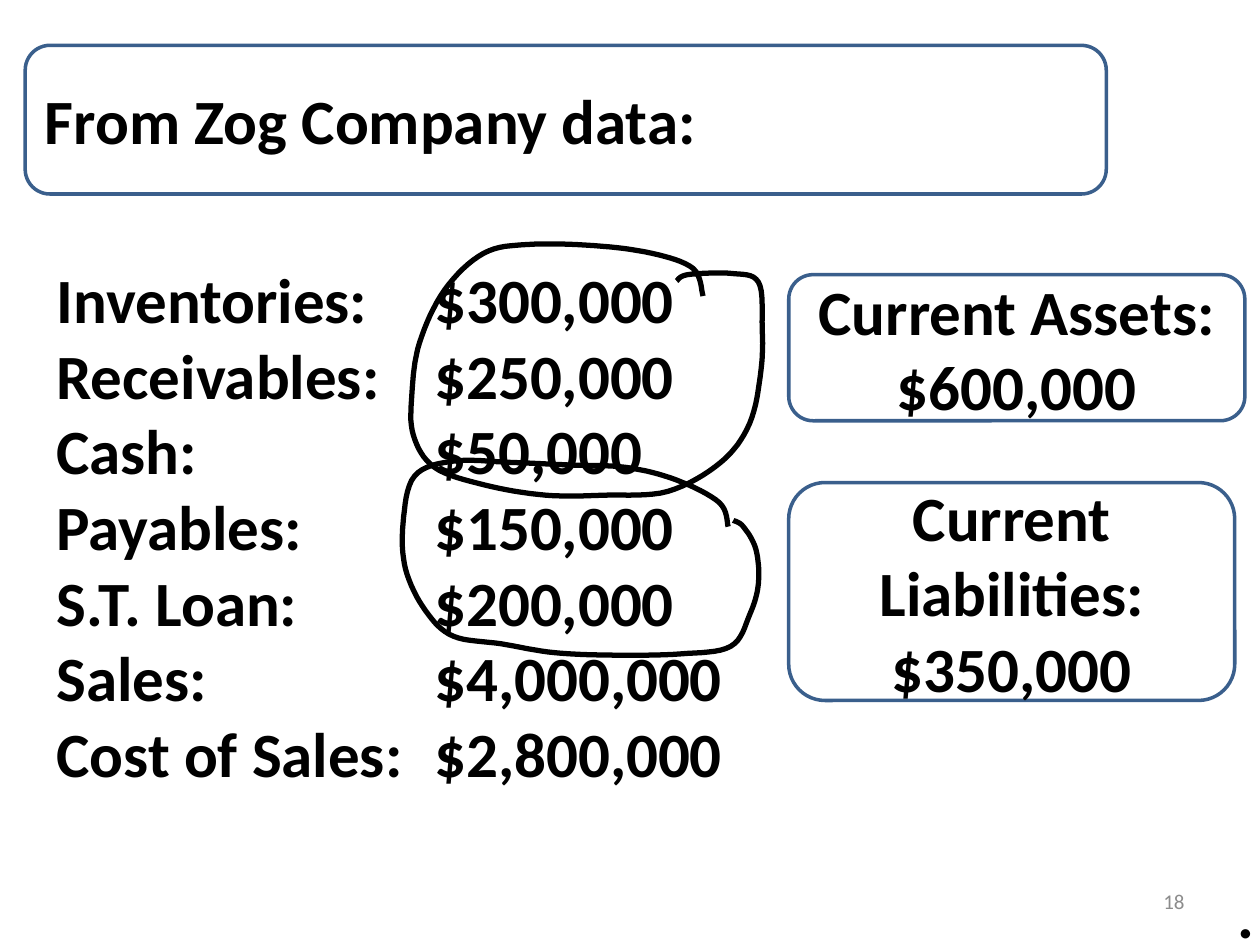
import pptx
import pptx.util
import pptx.dml.color
import pptx.enum.shapes
import pptx.enum.text
import pptx.oxml
import pptx.oxml.ns

Inches = pptx.util.Inches
ALIGN = pptx.enum.text.PP_ALIGN
ANCHOR = pptx.enum.text.MSO_ANCHOR

TITLE = ["From Zog Company data:"]
ACCOUNTS = [
    ("Inventories:", "$300,000"),
    ("Receivables:", "$250,000"),
    ("Cash:", "$50,000"),
    ("Payables:", "$150,000"),
    ("S.T. Loan:", "$200,000"),
    ("Sales:", "$4,000,000"),
    ("Cost of Sales:", "$2,800,000"),
]
ASSETS = ["Current Assets:", "$600,000"]
LIABILITIES = ["Current", "Liabilities:", "$350,000"]
PAGE_NUMBER = ["18"]

WIDTH, HEIGHT = 10, 7.5
PANEL_LEFT = 6.26
VALUE_TAB = 3
STEPS = 8
UNITS_PER_INCH = 1000
BLACK, BLUE, GREY = "000000", "3A5F8C", "8C8C8C"
BOLD = {"size": pptx.util.Pt(36), "bold": True, "name": "Calibri"}
SMALL = {"size": pptx.util.Pt(12), "bold": False, "name": "Calibri"}

ASSETS_KNOTS = [
    (5.58, 2.35), (5.5, 2.13), (5.17, 2.01), (4.72, 1.95), (4.2, 1.94), (3.84, 2.01),
    (3.53, 2.3), (3.33, 2.72), (3.27, 3.12), (3.28, 3.45), (3.45, 3.71), (3.85, 3.85),
    (4.33, 3.93), (4.8, 3.93), (5.3, 3.9), (5.72, 3.67), (5.95, 3.36), (6.04, 2.94),
    (6.05, 2.6), (6.02, 2.24), (5.8, 2.17), (5.46, 2.18), (5.37, 2.23),
]
LIABILITIES_KNOTS = [
    (5.78, 4.18), (5.71, 3.99), (5.37, 3.81), (4.97, 3.71), (4.5, 3.69), (4.05, 3.67),
    (3.6, 3.66), (3.29, 3.78), (3.2, 4.15), (3.22, 4.52), (3.38, 4.85), (3.6, 5.05),
    (3.98, 5.11), (4.4, 5.18), (4.87, 5.2), (5.4, 5.19), (5.8, 5.13), (5.95, 4.88),
    (6.02, 4.63), (6, 4.36), (5.9, 4.18), (5.82, 4.13),
]

prs = pptx.Presentation()
prs.slide_width, prs.slide_height = Inches(WIDTH), Inches(HEIGHT)
s = prs.slides.add_slide(prs.slide_layouts[6])


def rgb(color):
    return pptx.dml.color.RGBColor.from_string(color)


def outline(sp, color, width):
    sp.shadow.inherit = False
    sp.fill.background()
    sp.line.color.rgb = rgb(color)
    sp.line.width = pptx.util.Pt(width)


def add_tab(p, position):
    tabs = pptx.oxml.parse_xml(
        f'<a:tabLst {pptx.oxml.ns.nsdecls("a")}><a:tab pos="{Inches(position)}" algn="l"/></a:tabLst>')
    p._p.get_or_add_pPr().append(tabs)


def write(sp, lines, align=ALIGN.LEFT, anchor=ANCHOR.TOP, font=BOLD, color=BLACK, tab=None):
    tf = sp.text_frame
    tf.word_wrap = True
    tf.vertical_anchor = anchor
    for i, line in enumerate(lines):
        p = tf.add_paragraph() if i else tf.paragraphs[0]
        p.alignment = align
        if tab:
            add_tab(p, tab)
        r = p.add_run()
        r.text = line
        for key, value in font.items():
            setattr(r.font, key, value)
        r.font.color.rgb = rgb(color)


def textbox(box, lines, **style):
    sp = s.shapes.add_textbox(*map(Inches, box))
    write(sp, lines, **style)
    return sp


def panel(box, lines, align=ALIGN.CENTER):
    sp = s.shapes.add_shape(pptx.enum.shapes.MSO_SHAPE.ROUNDED_RECTANGLE, *map(Inches, box))
    outline(sp, BLUE, 2)
    write(sp, lines, align=align, anchor=ANCHOR.MIDDLE)


def spline(before, start, end, after, t):
    return start + t / 2 * (
        end - before
        + t * (2 * before - 5 * start + 4 * end - after)
        + t * t * (3 * (start - end) + after - before))


def smooth(knots):
    padded = [knots[0], *knots, knots[-1]]
    points = [knots[0]]
    for four in zip(padded, padded[1:], padded[2:], padded[3:]):
        xs, ys = zip(*four)
        for step in range(1, STEPS + 1):
            points.append((spline(*xs, step / STEPS), spline(*ys, step / STEPS)))
    return points


def pen_loop(knots):
    points = [(round(x * UNITS_PER_INCH), round(y * UNITS_PER_INCH)) for x, y in smooth(knots)]
    builder = s.shapes.build_freeform(*points[0], scale=Inches(1) / UNITS_PER_INCH)
    builder.add_line_segments(points[1:], close=False)
    outline(builder.convert_to_shape(), BLACK, 3)


textbox((7.17, 6.95, 2.33, 0.4), PAGE_NUMBER, align=ALIGN.RIGHT, anchor=ANCHOR.MIDDLE,
        font=SMALL, color=GREY)
panel((0.2, 0.36, 8.58, 1.18), TITLE, align=ALIGN.LEFT)
textbox((0.35, 2.02, 7.27, 4.95), ["\t".join(row) for row in ACCOUNTS], tab=VALUE_TAB)

for knots, lines, top, width, height in [
    (ASSETS_KNOTS, ASSETS, 2.18, 3.62, 1.16),
    (LIABILITIES_KNOTS, LIABILITIES, 3.83, 3.54, 1.73),
]:
    pen_loop(knots)
    panel((PANEL_LEFT, top, width, height), lines)

dot = textbox((9.72, 6.9, WIDTH - 9.72, 0.6), ["."])
dot.text_frame.margin_right = 0

prs.save("out.pptx")
